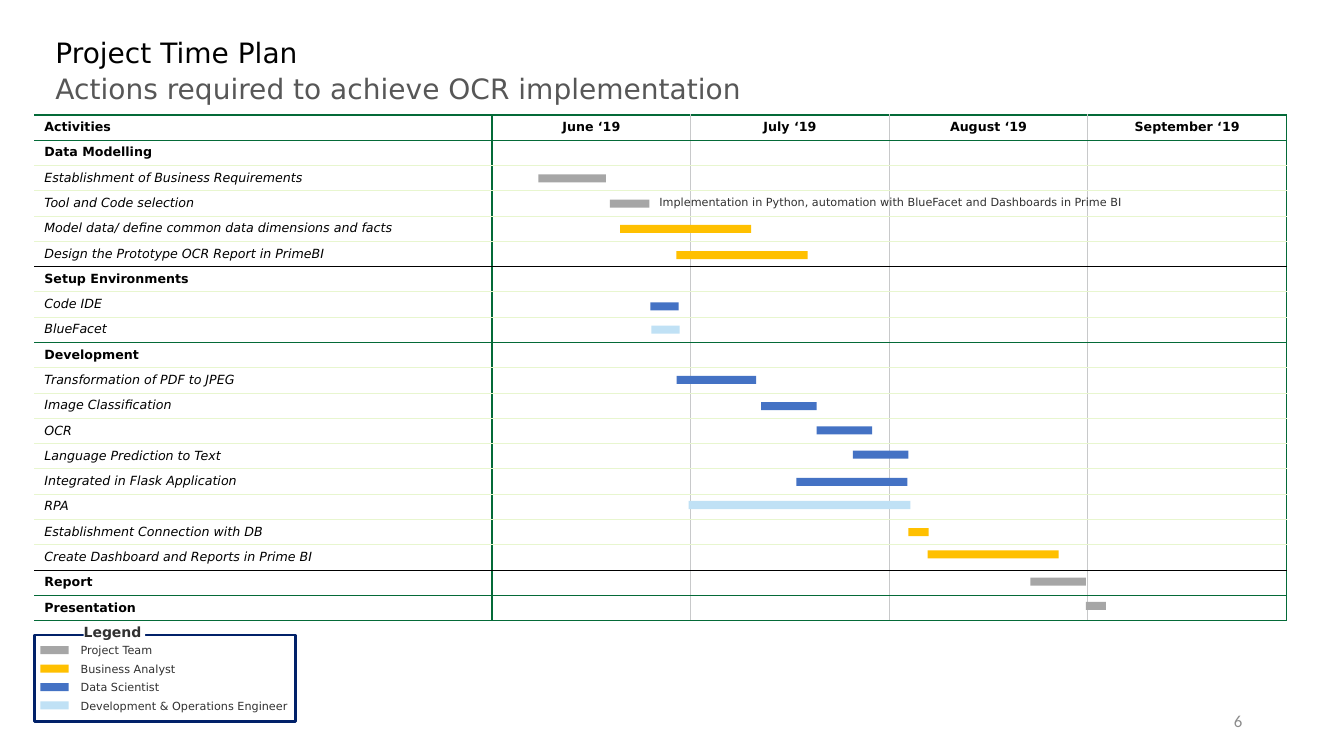
"""Build the project time plan slide: an activity table with schedule bars and a legend."""
from dataclasses import dataclass

from lxml.etree import SubElement
from pptx import Presentation
from pptx.dml.color import RGBColor
from pptx.enum.shapes import MSO_SHAPE
from pptx.enum.text import MSO_ANCHOR, PP_ALIGN
from pptx.oxml.ns import qn
from pptx.shapes.autoshape import Shape
from pptx.shapes.shapetree import _BaseGroupShapes
from pptx.slide import Slide
from pptx.table import _Cell
from pptx.text.text import TextFrame
from pptx.util import Inches, Pt

FONT = "DejaVu Sans"
TEAM, ANALYST, SCIENTIST, ENGINEER = "A6A6A6", "FFC000", "4472C4", "C0E1F5"
INK, BLACK, WHITE, NAVY = "313131", "000000", "FFFFFF", "012169"
BAR_HEIGHT = 0.08
ROW_HEIGHT = 0.247


@dataclass(frozen=True)
class Edge:
    color: str
    width: float


GREEN, DARK = Edge("046A38", 1), Edge("000000", 0.75)
PALE, GRAY = Edge("E8F6CF", 0.75), Edge("C8C9CA", 1)


@dataclass(frozen=True)
class Activity:
    name: str
    heading: bool = False
    below: Edge = PALE


@dataclass(frozen=True)
class Bar:
    left: float
    top: float
    width: float
    color: str


@dataclass(frozen=True)
class LegendEntry:
    label: str
    color: str
    width: float = 1


MONTHS = ["June ‘19", "July ‘19", "August ‘19", "September ‘19"]
ACTIVITIES = [
    Activity("Activities", True, GREEN),
    Activity("Data Modelling", True),
    Activity("Establishment of Business Requirements"),
    Activity("Tool and Code selection"),
    Activity("Model data/ define common data dimensions and facts"),
    Activity("Design the Prototype OCR Report in PrimeBI", below=DARK),
    Activity("Setup Environments", True),
    Activity("Code IDE"),
    Activity("BlueFacet", below=GREEN),
    Activity("Development", True),
    Activity("Transformation of PDF to JPEG"),
    Activity("Image Classification"),
    Activity("OCR"),
    Activity("Language Prediction to Text"),
    Activity("Integrated in Flask Application"),
    Activity("RPA"),
    Activity("Establishment Connection with DB"),
    Activity("Create Dashboard and Reports in Prime BI", below=DARK),
    Activity("Report", True, GREEN),
    Activity("Presentation", True, GREEN),
]
BARS = [
    Bar(5.34, 1.73, 0.67, TEAM),
    Bar(6.05, 1.98, 0.39, TEAM),
    Bar(6.15, 2.23, 1.3, ANALYST),
    Bar(6.71, 2.49, 1.3, ANALYST),
    Bar(6.45, 3, 0.28, SCIENTIST),
    Bar(6.46, 3.23, 0.28, ENGINEER),
    Bar(6.71, 3.73, 0.79, SCIENTIST),
    Bar(7.55, 3.99, 0.55, SCIENTIST),
    Bar(8.1, 4.23, 0.55, SCIENTIST),
    Bar(8.46, 4.47, 0.55, SCIENTIST),
    Bar(7.9, 4.74, 1.1, SCIENTIST),
    Bar(6.83, 4.97, 2.2, ENGINEER),
    Bar(9.01, 5.24, 0.2, ANALYST),
    Bar(9.2, 5.46, 1.3, ANALYST),
    Bar(10.22, 5.73, 0.55, TEAM),
    Bar(10.77, 5.97, 0.2, TEAM),
]
LEGEND = [
    LegendEntry("Project Team", TEAM),
    LegendEntry("Business Analyst", ANALYST),
    LegendEntry("Data Scientist", SCIENTIST),
    LegendEntry("Development & Operations Engineer", ENGINEER, 2.07),
]


def rgb(color: str) -> RGBColor:
    return RGBColor.from_string(color)


def write(frame: TextFrame, text: str, *, size: float = 8, color: str = INK, font: str = FONT,
          bold: bool = False, italic: bool = False, align: PP_ALIGN = PP_ALIGN.LEFT) -> None:
    para = frame.paragraphs[0]
    para.alignment = align
    span = para.add_run()
    span.text = text
    span.font.size, span.font.name = Pt(size), font
    span.font.bold, span.font.italic = bold, italic
    span.font.color.rgb = rgb(color)


def clear_margins(frame: TextFrame) -> None:
    frame.word_wrap = True
    frame.margin_left = frame.margin_right = frame.margin_top = frame.margin_bottom = 0


def add_label(shapes: _BaseGroupShapes, left: float, top: float, width: float, height: float,
              text: str, **style) -> None:
    box = shapes.add_textbox(Inches(left), Inches(top), Inches(width), Inches(height))
    clear_margins(box.text_frame)
    write(box.text_frame, text, **style)


def add_block(shapes: _BaseGroupShapes, left: float, top: float, width: float, height: float,
              color: str) -> Shape:
    block = shapes.add_shape(MSO_SHAPE.RECTANGLE, Inches(left), Inches(top),
                             Inches(width), Inches(height))
    block.shadow.inherit = False
    block.fill.solid()
    block.fill.fore_color.rgb = rgb(color)
    block.line.fill.background()
    return block


def set_borders(cell: _Cell, **edges: Edge | None) -> None:
    properties = cell._tc.get_or_add_tcPr()
    for index, (side, edge) in enumerate(edges.items()):
        line = properties.makeelement(qn(f"a:ln{side}"), {})
        properties.insert(index, line)
        if edge is None:
            SubElement(line, qn("a:noFill"))
        else:
            line.set("w", str(Pt(edge.width)))
            fill = SubElement(line, qn("a:solidFill"))
            SubElement(fill, qn("a:srgbClr"), val=edge.color)


def add_schedule(page: Slide) -> None:
    widths = [4.54] + [1.97] * len(MONTHS)
    verticals = [None, GREEN, GRAY, GRAY, GRAY, GREEN]
    horizontals = [GREEN] + [activity.below for activity in ACTIVITIES]
    table = page.shapes.add_table(len(ACTIVITIES), len(widths), Inches(0.34), Inches(1.14),
                                  Inches(sum(widths)),
                                  Inches(ROW_HEIGHT * len(ACTIVITIES))).table
    table.first_row = table.horz_banding = False
    for column, width in zip(table.columns, widths):
        column.width = Inches(width)
    for row, activity in enumerate(ACTIVITIES):
        table.rows[row].height = Inches(ROW_HEIGHT)
        for column in range(len(widths)):
            cell = table.cell(row, column)
            cell.fill.background()
            set_borders(cell, L=verticals[column], R=verticals[column + 1],
                        T=horizontals[row], B=horizontals[row + 1])
            if column == 0:
                write(cell.text_frame, activity.name, size=9, color=BLACK,
                      bold=activity.heading, italic=not activity.heading)
            elif row == 0:
                cell.vertical_anchor = MSO_ANCHOR.MIDDLE
                write(cell.text_frame, MONTHS[column - 1], size=9, color=BLACK, bold=True,
                      align=PP_ALIGN.CENTER)
            else:
                SubElement(cell.text_frame.paragraphs[0]._p, qn("a:endParaRPr"), sz="900")


def add_legend(page: Slide) -> None:
    shapes = page.shapes.add_group_shape().shapes
    frame = add_block(shapes, 0.34, 6.3, 2.59, 0.86, WHITE)
    frame.line.color.rgb, frame.line.width = rgb(NAVY), Pt(2)
    heading = add_block(shapes, 0.83, 6.17, 0.61, 0.19, WHITE)
    clear_margins(heading.text_frame)
    write(heading.text_frame, "Legend", size=10, bold=True)
    for index, entry in enumerate(LEGEND):
        add_block(shapes, 0.4, 6.41 + 0.183 * index, 0.28, BAR_HEIGHT, entry.color)
        add_label(shapes, 0.8, 6.38 + 0.187 * index, entry.width, 0.13, entry.label)


def main() -> None:
    deck = Presentation()
    deck.slide_width, deck.slide_height = Inches(13.33), Inches(7.5)
    page = deck.slides.add_slide(deck.slide_layouts[6])
    add_label(page.shapes, 0.55, 0.71, 12.21, 0.83,
              "Actions required to achieve OCR implementation", size=20, color="575757")
    add_label(page.shapes, 0.55, 0.35, 12.21, 0.76, "Project Time Plan", size=20, color=BLACK)
    add_schedule(page)
    for bar in BARS:
        add_block(page.shapes, bar.left, bar.top, bar.width, BAR_HEIGHT, bar.color)
    add_label(page.shapes, 6.54, 1.94, 5.47, 0.13, "Implementation in Python, automation "
              "with BlueFacet and Dashboards in Prime BI")
    add_legend(page)
    number = page.shapes.add_textbox(Inches(9.42), Inches(6.95), Inches(3), Inches(0.4))
    number.text_frame.word_wrap = True
    number.text_frame.vertical_anchor = MSO_ANCHOR.MIDDLE
    write(number.text_frame, "6", size=12, color="8C8C8C", font="Calibri", align=PP_ALIGN.RIGHT)
    deck.save("out.pptx")


if __name__ == "__main__":
    main()
